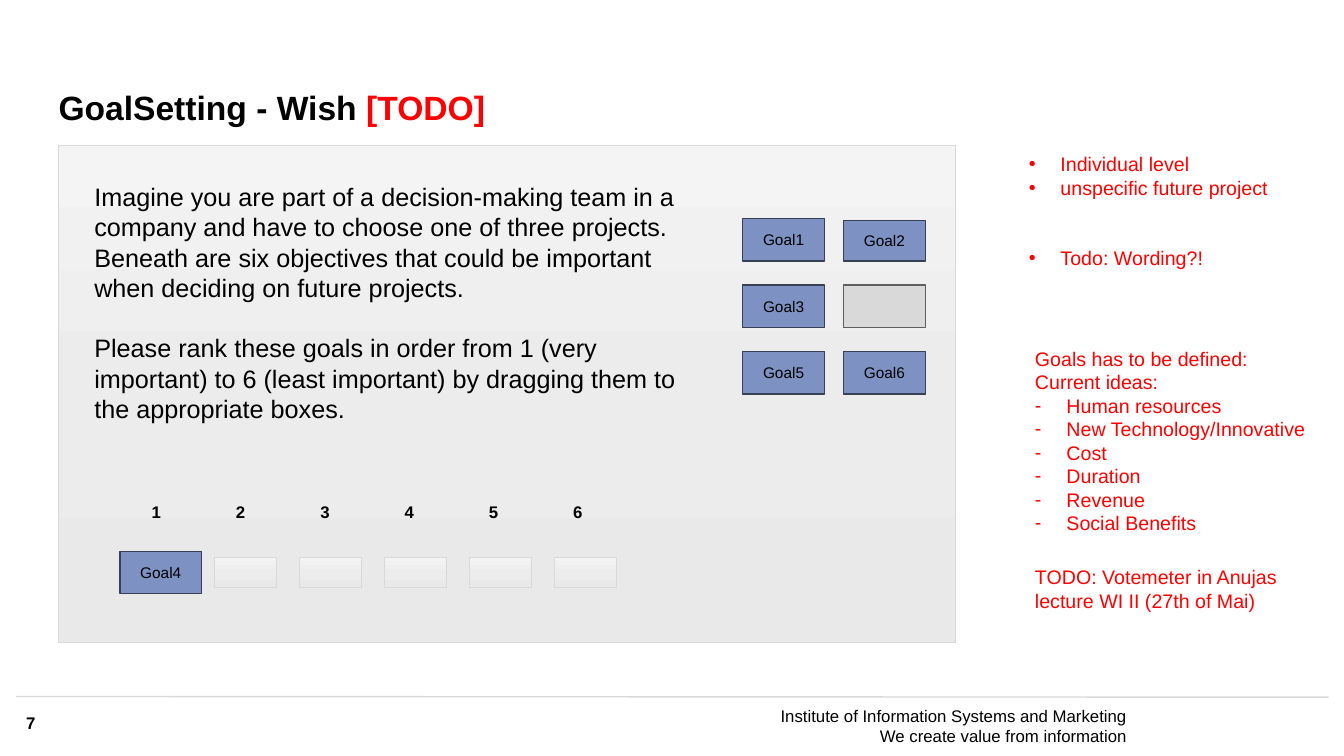
from copy import deepcopy
from lxml.etree import SubElement
from pptx import Presentation
from pptx.dml.color import RGBColor
from pptx.enum.shapes import MSO_CONNECTOR, MSO_SHAPE
from pptx.enum.text import MSO_ANCHOR, MSO_AUTO_SIZE, PP_ALIGN
from pptx.oxml.ns import qn
from pptx.util import Pt

BLACK = RGBColor(0x00, 0x00, 0x00)
RED = RGBColor(0xFF, 0x00, 0x00)
BLUE = RGBColor(0x7D, 0x92, 0xC3)
NAVY = RGBColor(0x37, 0x40, 0x55)
GRAY = RGBColor(0xD9, 0xD9, 0xD9)
DARK = RGBColor(0x5F, 0x5F, 0x5F)
SHADES = [RGBColor(0xF4, 0xF4, 0xF4), RGBColor(0xEC, 0xEC, 0xEC),
          RGBColor(0xE9, 0xE9, 0xE9)]


def style(para, size, color=BLACK, bold=False):
    font = para.font
    font.name, font.size, font.bold = "Arial", Pt(size), bold
    font.color.rgb = color


def add_text(slide, box, lines, size, color=BLACK, bold=False, inset=True):
    frame = slide.shapes.add_textbox(*map(Pt, box)).text_frame
    frame.word_wrap = True
    if not inset:
        frame.margin_left = frame.margin_right = 0
        frame.margin_top = frame.margin_bottom = 0
    for i, line in enumerate(lines):
        para = frame.paragraphs[0] if i == 0 else frame.add_paragraph()
        para.text = line
        style(para, size, color, bold)
    return frame.paragraphs


def add_bullet(para, mark):
    props = para._p.get_or_add_pPr()
    props.set("marL", str(Pt(22.5)))
    props.set("indent", str(-Pt(22.5)))
    SubElement(props, qn("a:buFont")).set("typeface", "Arial")
    SubElement(props, qn("a:buChar")).set("char", mark)


def add_box(slide, box, line, width):
    shape = slide.shapes.add_shape(MSO_SHAPE.RECTANGLE, *map(Pt, box))
    shape.shadow.inherit = False
    shape.line.color.rgb = line
    shape.line.width = Pt(width)
    return shape


def add_shaded(slide, box):
    shape = add_box(slide, box, GRAY, 0.5)
    shape.fill.gradient()
    shape.fill.gradient_angle = 270
    # The gradient starts with two stops; add the middle one
    stops = shape._element.spPr.find(".//" + qn("a:gsLst"))
    stops.insert(1, deepcopy(stops[0]))
    for i, stop in enumerate(shape.fill.gradient_stops):
        stop.position = i / 2
        stop.color.rgb = SHADES[i]


def add_goal(slide, box, name):
    shape = add_box(slide, box, NAVY if name else DARK, 1)
    shape.fill.solid()
    shape.fill.fore_color.rgb = BLUE if name else GRAY
    if name:
        frame = shape.text_frame
        frame.vertical_anchor = MSO_ANCHOR.MIDDLE
        para = frame.paragraphs[0]
        para.text = name
        para.alignment = PP_ALIGN.CENTER
        style(para, 11)


def add_title(slide, box):
    title = slide.shapes.title
    title.left, title.top, title.width, title.height = map(Pt, box)
    frame = title.text_frame
    frame.auto_size = MSO_AUTO_SIZE.NONE
    frame.vertical_anchor = MSO_ANCHOR.BOTTOM
    frame.margin_left = frame.margin_right = 0
    frame.margin_top = frame.margin_bottom = 0
    para = frame.paragraphs[0]
    para.alignment = PP_ALIGN.LEFT
    para.line_spacing = 0.9
    style(para, 24, bold=True)
    para.add_run().text = "GoalSetting - Wish "
    todo = para.add_run()
    todo.text = "[TODO]"
    todo.font.color.rgb = RED


def add_panel(slide, box):
    x, y = box[:2]
    add_shaded(slide, box)

    # Task
    task = add_text(slide, (x + 18.5, y + 22.3, 456.5, 181.4), [
        "Imagine you are part of a decision-making team in a company and "
        "have to choose one of three projects. Beneath are six objectives "
        "that could be important when deciding on future projects.",
        "Please rank these goals in order from 1 (very important) to 6 "
        "(least important) by dragging them to the appropriate boxes."], 18)
    task[1].space_before = Pt(21.6)

    # Ranks: numbers, the goal in first place, five free slots
    for i in range(6):
        add_text(slide, (x + 59.5 + 60.2 * i, y + 251.3, 26.6, 34.6),
                 [str(i + 1)], 12, bold=True)
        if i:
            add_shaded(slide, (x + 50.9 + 60.7 * i, y + 294.5, 43.9, 21.6))
    add_goal(slide, (x + 43.8, y + 290.2, 58.5, 30.2), "Goal4")

    # Goals still to be dragged
    names = ["Goal1", "Goal2", "Goal3", "", "Goal5", "Goal6"]
    for i, name in enumerate(names):
        row, col = divmod(i, 2)
        drop = 1.4 if name == "Goal2" else 0
        add_goal(slide, (x + 488.7 + 72 * col, y + 52.5 + 47.5 * row + drop,
                         58.5, 30.2 - drop), name)


def add_notes(slide, box):
    x, y, width, height = box
    # Scope
    scope = add_text(slide, (x, y, 196.6, 92.2), [
        "Individual level", "unspecific future project",
        "Todo: Wording?!"], 14, RED)
    for para in scope:
        add_bullet(para, "•")
    scope[2].space_before = Pt(33.6)

    # Ideas for goals
    ideas = add_text(slide, (x + 4.3, y + 139, width - 4.3, height - 139), [
        "Goals has to be defined:", "Current ideas:", "Human resources",
        "New Technology/Innovative", "Cost", "Duration", "Revenue",
        "Social Benefits",
        "TODO: Votemeter in Anujas lecture WI II (27th of Mai)"], 14, RED)
    for para in ideas[2:8]:
        add_bullet(para, "-")
    ideas[8].space_before = Pt(21.6)


def add_footer(slide, box):
    x, y, width, height = box
    rule = slide.shapes.add_connector(
        MSO_CONNECTOR.STRAIGHT, Pt(x), Pt(y), Pt(x + width), Pt(y + 0.5))
    rule.line.color.rgb = GRAY
    rule.line.width = Pt(1)
    SubElement(rule._element.spPr, qn("a:effectLst"))
    add_text(slide, (x + 7.2, y + 11.5, 33.8, 17.3), ["7"], 12,
             bold=True, inset=False)
    motto = add_text(slide, (x + 506.2, y + 6.4, 287.3, 28.1), [
        "Institute of Information Systems and Marketing\v"
        "We create value from information"], 12, inset=False)
    motto[0].alignment = PP_ALIGN.RIGHT


def main():
    deck = Presentation()
    deck.slide_width, deck.slide_height = Pt(960), Pt(540)
    slide = deck.slides.add_slide(deck.slide_layouts[5])
    add_footer(slide, (11.5, 497.5, 937.5, 42.5))
    add_title(slide, (41.8, 31, 721.4, 60.5))
    add_panel(slide, (41.8, 103.7, 640.8, 355))
    add_notes(slide, (727.9, 105.1, 221.1, 337.7))
    deck.save("out.pptx")


if __name__ == "__main__":
    main()
